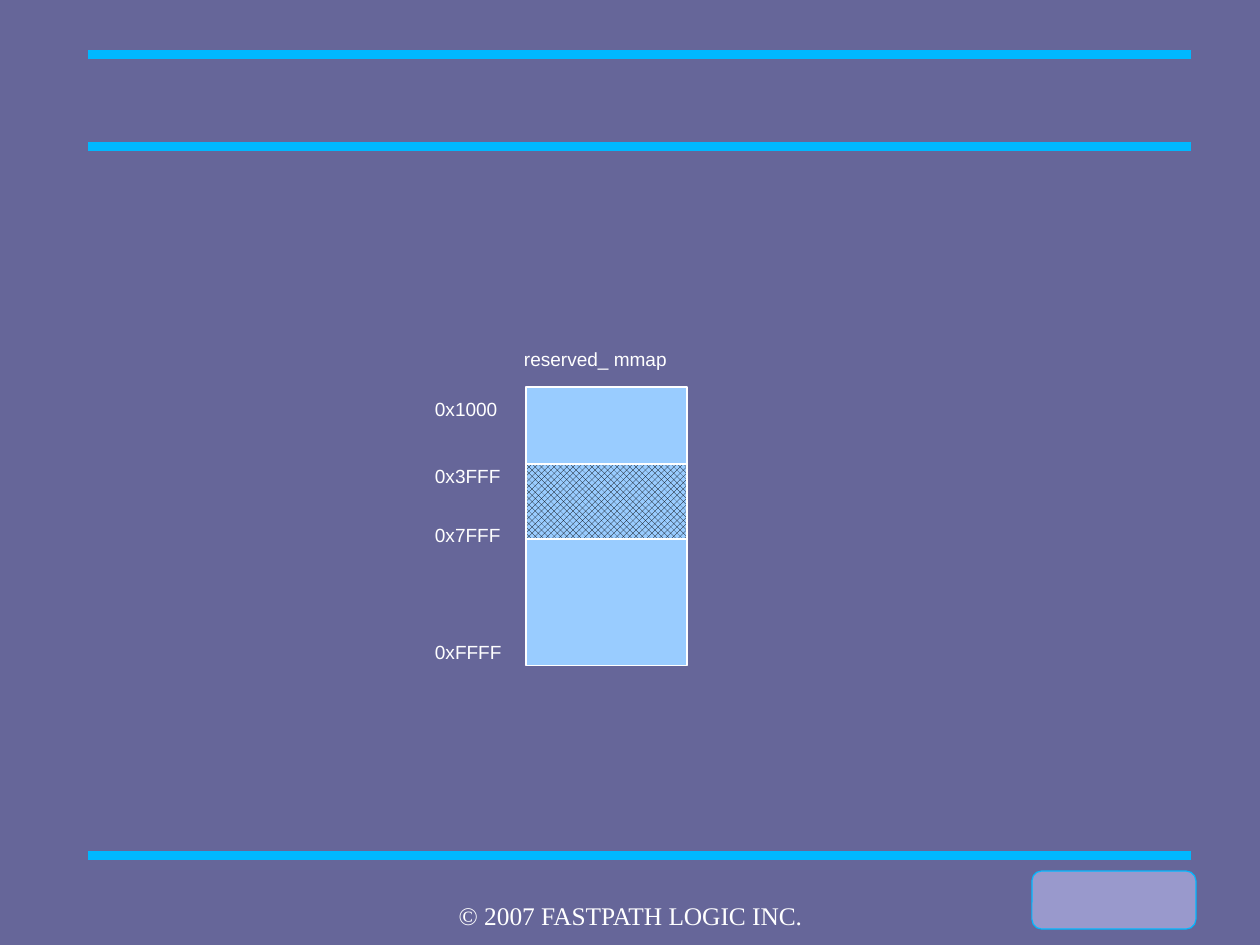
from lxml import etree
from pptx import Presentation
from pptx.dml.color import RGBColor
from pptx.enum.dml import MSO_PATTERN
from pptx.enum.shapes import MSO_CONNECTOR, MSO_SHAPE
from pptx.enum.text import MSO_AUTO_SIZE, PP_ALIGN
from pptx.oxml.ns import qn
from pptx.util import Emu, Pt

PX = 8000
RECTANGLE, ROUNDED = MSO_SHAPE.RECTANGLE, MSO_SHAPE.ROUNDED_RECTANGLE
STRAIGHT = MSO_CONNECTOR.STRAIGHT
DIAMONDS = MSO_PATTERN.OUTLINED_DIAMOND
LEFT, CENTER = PP_ALIGN.LEFT, PP_ALIGN.CENTER
GROW, FIXED = MSO_AUTO_SIZE.SHAPE_TO_FIT_TEXT, MSO_AUTO_SIZE.NONE
WHITE, BRIGHT, PALE = "FFFFFF", "00B8FF", "99CCFF"
LABEL_FONT = {"name": "Arial", "size": Pt(12)}
FOOTER_FONT = {"name": "Times New Roman", "size": Pt(16)}


def px(*lengths):
    """Turn pixel lengths into EMU."""
    return [Emu(length * PX) for length in lengths]


def color(value):
    """Return the colour for a hex string."""
    return RGBColor.from_string(value)


def add_box(page, kind, box, fill, line):
    """Add a filled shape with a hairline outline."""
    shape = page.shapes.add_shape(kind, *px(*box))
    shape.shadow.inherit = False
    shape.fill.solid()
    shape.fill.fore_color.rgb = color(fill)
    shape.line.color.rgb = color(line)
    shape.line.width = Pt(0)
    return shape


def add_text(page, box, text, font, align=LEFT, insets=(11, 6), size=GROW):
    """Add one line of white text with the given font values."""
    frame = page.shapes.add_textbox(*px(*box)).text_frame
    across, down = px(*insets)
    layout = {"word_wrap": True, "auto_size": size,
              "margin_left": across, "margin_right": across,
              "margin_top": down, "margin_bottom": down}
    for name, value in layout.items():
        setattr(frame, name, value)
    para = frame.paragraphs[0]
    para.alignment = align
    span = para.add_run()
    span.text = text
    for name, value in font.items():
        setattr(span.font, name, value)
    span.font.color.rgb = color(WHITE)


def add_frame(page, box):
    """Draw the header and footer rules and the corner badge."""
    left, top, width, height = box
    for y in (top, top + 93, top + height):
        rule = page.shapes.add_connector(STRAIGHT, *px(left, y, left + width, y))
        rule.line.color.rgb = color(BRIGHT)
        rule.line.width = Pt(5.67)
        etree.SubElement(rule._element.spPr, qn("a:effectLst"))
    badge = (left + width - 159, top + height + 16, 164, 58)
    add_box(page, ROUNDED, badge, "9999CC", BRIGHT)


def add_memory_map(page, box):
    """Draw the memory column, its reserved band, title and addresses."""
    left, top, width, height = box
    add_box(page, RECTANGLE, box, PALE, WHITE)
    add_text(page, (left - 13, top - 46, 193, 40), "reserved_ mmap", LABEL_FONT)
    addresses = {"0x1000": 4, "0x3FFF": 71, "0x7FFF": 130, "0xFFFF": 247}
    for address, offset in addresses.items():
        add_text(page, (left - 102, top + offset, 98, 40), address, LABEL_FONT)
    band = add_box(page, RECTANGLE, (left, top + 77, width, 75), PALE, WHITE)
    band.fill.patterned()
    band.fill.pattern = DIAMONDS
    band.fill.fore_color.rgb = color("000000")
    band.fill.back_color.rgb = color(PALE)


def main():
    """Build and save the slide."""
    deck = Presentation()
    deck.slide_width, deck.slide_height = px(1260, 945)
    page = deck.slides.add_slide(deck.slide_layouts[6])
    page.background.fill.solid()
    page.background.fill.fore_color.rgb = color("666699")
    add_frame(page, (88, 54, 1103, 801))
    add_memory_map(page, (526, 387, 161, 279))
    add_text(page, (431, 900, 399, 26), "© 2007 FASTPATH LOGIC INC.",
             FOOTER_FONT, CENTER, (0, 0), FIXED)
    deck.save("out.pptx")


if __name__ == "__main__":
    main()
